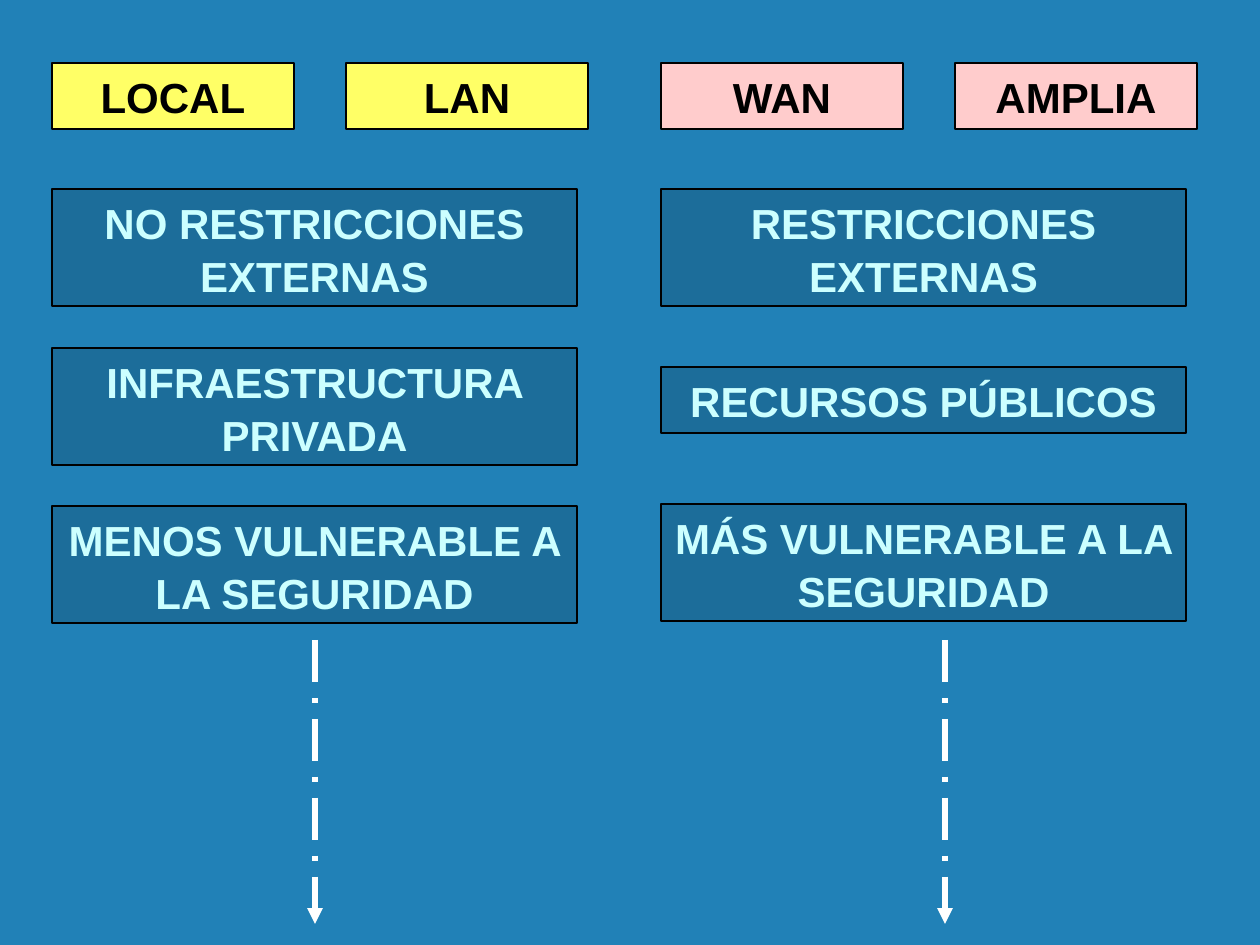
import pptx
import pptx.util
import pptx.dml.color
import pptx.enum.dml
import pptx.enum.shapes
import pptx.enum.text
import pptx.oxml.ns
import lxml.etree

RGB = pptx.dml.color.RGBColor
BLUE = RGB(0x21, 0x81, 0xB7)
NAVY = RGB(0x1C, 0x6D, 0x9A)
AQUA = RGB(0xCC, 0xFF, 0xFF)
YELLOW = RGB(0xFF, 0xFF, 0x66)
PINK = RGB(0xFF, 0xCC, 0xCC)
BLACK = RGB(0, 0, 0)
WHITE = RGB(0xFF, 0xFF, 0xFF)


def px(n):
    return pptx.util.Emu(round(n * 914400 / 126))


class Page:
    font = "Arial"
    size = pptx.util.Pt(24)
    inset = px(8)

    def __init__(self, deck, back):
        self.slide = deck.slides.add_slide(deck.slide_layouts[6])
        fill = self.slide.background.fill
        fill.solid()
        fill.fore_color.rgb = back

    def box(self, text, left, top, width, height, fill, ink):
        kind = pptx.enum.shapes.MSO_SHAPE.RECTANGLE
        shape = self.slide.shapes.add_shape(kind, px(left), px(top), px(width), px(height))
        shape.shadow.inherit = False
        shape.fill.solid()
        shape.fill.fore_color.rgb = fill
        shape.line.color.rgb = BLACK
        shape.line.width = pptx.util.Pt(0.75)
        frame = shape.text_frame
        frame.word_wrap = True
        frame.vertical_anchor = pptx.enum.text.MSO_ANCHOR.MIDDLE
        frame.margin_left = frame.margin_right = self.inset
        frame.margin_top = frame.margin_bottom = self.inset
        par = frame.paragraphs[0]
        par.text = text
        par.alignment = pptx.enum.text.PP_ALIGN.CENTER
        par.line_spacing = 1.05
        par.font.name = self.font
        par.font.size = self.size
        par.font.bold = True
        par.font.color.rgb = ink

    def arrow(self, x, top, end):
        kind = pptx.enum.shapes.MSO_CONNECTOR.STRAIGHT
        link = self.slide.shapes.add_connector(kind, px(x), px(top), px(x), px(end))
        link.line.color.rgb = WHITE
        link.line.width = pptx.util.Pt(3)
        link.line.dash_style = pptx.enum.dml.MSO_LINE.LONG_DASH_DOT
        qn = pptx.oxml.ns.qn
        tail = lxml.etree.SubElement(link.line._get_or_add_ln(), qn("a:tailEnd"))
        tail.set("type", "triangle")
        lxml.etree.SubElement(link._element.spPr, qn("a:effectLst"))


def main():
    deck = pptx.Presentation()
    deck.slide_width, deck.slide_height = px(1260), px(945)
    page = Page(deck, BLUE)
    low, tall = 66, 117

    # One column per network type: left, arrow x, head colour, heads, traits
    columns = [
        (52, 315, YELLOW, ["LOCAL", "LAN"], [
            ("NO RESTRICCIONES EXTERNAS", 189, tall),
            ("INFRAESTRUCTURA PRIVADA", 348, tall),
            ("MENOS VULNERABLE A LA SEGURIDAD", 506, tall)]),
        (661, 945, PINK, ["WAN", "AMPLIA"], [
            ("RESTRICCIONES EXTERNAS", 189, tall),
            ("RECURSOS PÚBLICOS", 367, low),
            ("MÁS VULNERABLE A LA SEGURIDAD", 504, tall)]),
    ]
    for left, mid, fill, heads, traits in columns:
        # Heads side by side
        for i, text in enumerate(heads):
            page.box(text, left + 294 * i, 63, 242, low, fill, BLACK)
        # Traits below
        for text, top, height in traits:
            page.box(text, left, top, 525, height, NAVY, AQUA)
        # Arrow down
        page.arrow(mid, 640, 924)

    deck.save("out.pptx")


if __name__ == "__main__":
    main()
